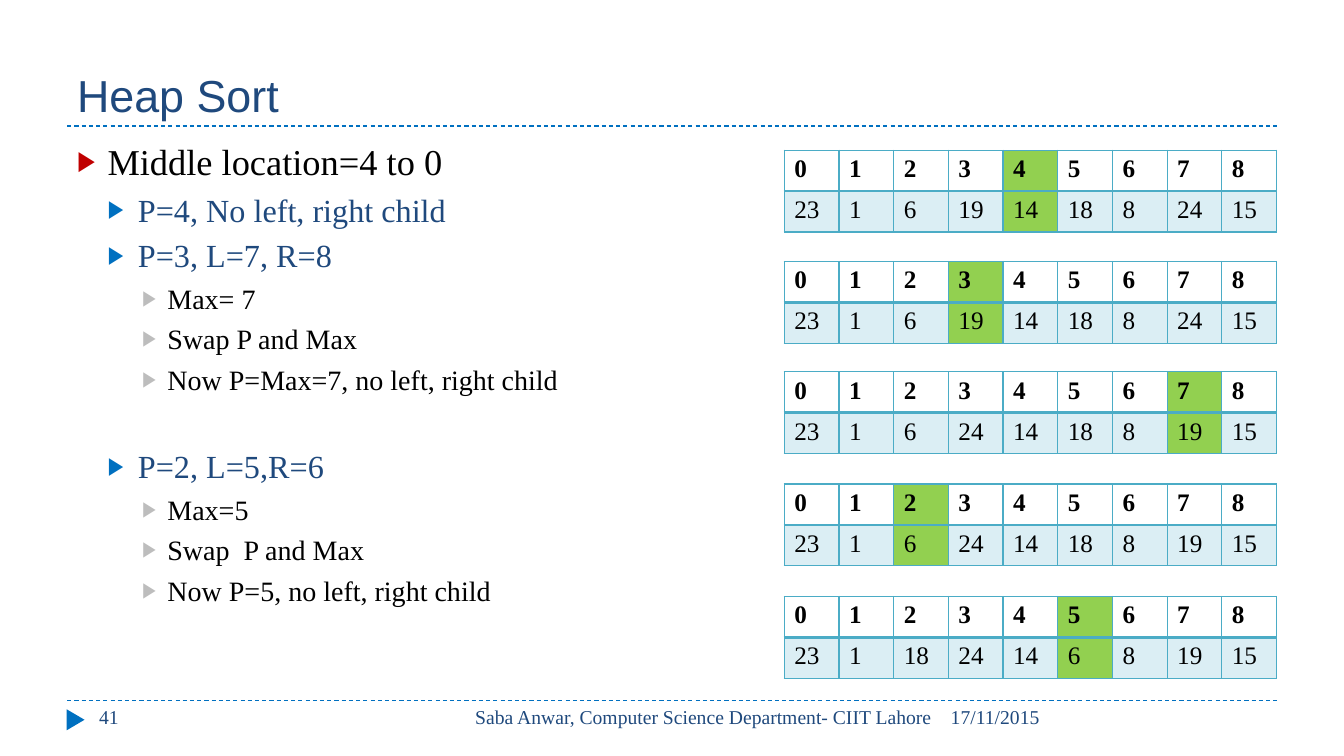
import dataclasses

import lxml.etree
import pptx
import pptx.dml.color
import pptx.enum.dml
import pptx.enum.shapes
import pptx.enum.text
import pptx.oxml.ns
import pptx.util

SCALE = 9525  # EMU in one px
HUES = {"navy": "1F497D", "blue": "0070C0", "red": "C00000", "grey": "BDBDBD",
        "black": "000000", "teal": "4BACC6", "pale": "DBEEF4", "green": "92D050"}
SERIF, SANS = "Times New Roman", "Arial"
ALIGN = pptx.enum.text.PP_ALIGN
ANCHOR = pptx.enum.text.MSO_ANCHOR


@dataclasses.dataclass
class Label:
    text: str
    box: tuple[int, int, int, int]
    size: int = 14
    face: str = SERIF
    align: ALIGN = ALIGN.LEFT
    anchor: ANCHOR = ANCHOR.TOP


@dataclasses.dataclass
class Level:
    size: int
    hue: str
    mark: str
    left: int
    hang: int


@dataclasses.dataclass
class Point:
    level: int
    text: str
    space: int = 5


@dataclasses.dataclass
class Heap:
    top: int
    vals: list[int]
    pick: int


LABELS = [
    Label("Heap Sort", (64, 16, 1152, 104), 32, SANS, anchor=ANCHOR.BOTTOM),
    Label("17/11/2015", (896, 667, 321, 38)),
    Label("Saba Anwar, Computer Science Department- CIIT Lahore",
          (406, 667, 491, 38), align=ALIGN.RIGHT),
    Label("41", (85, 667, 277, 38)),
]
LEVELS = [Level(26, "black", "red", 29, 29),
          Level(23, "navy", "blue", 58, 29),
          Level(20, "black", "grey", 86, 24)]
POINTS = [
    Point(0, "Middle location=4 to 0", 0),
    Point(1, "P=4, No left, right child"),
    Point(1, "P=3, L=7, R=8"),
    Point(2, "Max= 7"),
    Point(2, "Swap P and Max"),
    Point(2, "Now P=Max=7, no left, right child"),
    Point(1, "P=2, L=5,R=6", 36),
    Point(2, "Max=5"),
    Point(2, "Swap  P and Max"),
    Point(2, "Now P=5, no left, right child"),
]
HEAPS = [
    Heap(143, [23, 1, 6, 19, 14, 18, 8, 24, 15], 4),
    Heap(249, [23, 1, 6, 19, 14, 18, 8, 24, 15], 3),
    Heap(354, [23, 1, 6, 24, 14, 18, 8, 19, 15], 7),
    Heap(461, [23, 1, 6, 24, 14, 18, 8, 19, 15], 2),
    Heap(568, [23, 1, 18, 24, 14, 6, 8, 19, 15], 5),
]
LEFT, WIDE, HIGH = 747, 469, 39


def px(num: int) -> pptx.util.Emu:
    return pptx.util.Emu(num * SCALE)


def rgb(hue: str) -> pptx.dml.color.RGBColor:
    return pptx.dml.color.RGBColor.from_string(HUES[hue])


def add(root, tag: str, **attrs: str):
    return lxml.etree.SubElement(root, pptx.oxml.ns.qn(tag), attrs)


def write(para, text: str, size: int, hue: str,
          face: str = SERIF, bold: bool = False) -> None:
    run = para.add_run()
    run.text = text
    run.font.size = pptx.util.Pt(size)
    run.font.name = face
    run.font.bold = bold
    run.font.color.rgb = rgb(hue)


def frame(slide, box: tuple[int, int, int, int]):
    text = slide.shapes.add_textbox(*map(px, box)).text_frame
    text.word_wrap = True
    return text


def draw_label(slide, label: Label) -> None:
    text = frame(slide, label.box)
    text.vertical_anchor = label.anchor
    para = text.paragraphs[0]
    para.alignment = label.align
    write(para, label.text, label.size, "navy", label.face)


def draw_rule(slide, y: int) -> None:
    rule = slide.shapes.add_connector(
        pptx.enum.shapes.MSO_CONNECTOR.STRAIGHT, px(64), px(y), px(1216), px(y))
    rule.line.color.rgb = rgb("blue")
    rule.line.width = pptx.util.Pt(0.75)
    rule.line.dash_style = pptx.enum.dml.MSO_LINE.DASH
    add(rule._element.spPr, "a:effectLst")


def draw_mark(slide) -> None:
    mark = slide.shapes.add_shape(
        pptx.enum.shapes.MSO_SHAPE.ISOSCELES_TRIANGLE, px(62), px(677), px(20), px(17))
    mark.rotation = 90
    mark.shadow.inherit = False
    mark.fill.solid()
    mark.fill.fore_color.rgb = rgb("blue")
    mark.line.fill.background()


def draw_points(slide) -> None:
    text = frame(slide, (64, 128, 1152, 518))
    for i, point in enumerate(POINTS):
        para = text.add_paragraph() if i else text.paragraphs[0]
        level = LEVELS[point.level]
        para.level = point.level
        props = para._p.get_or_add_pPr()
        props.set("marL", str(px(level.left)))
        props.set("indent", str(px(-level.hang)))
        add(add(props, "a:buClr"), "a:srgbClr", val=HUES[level.mark])
        add(props, "a:buSzPct", val="76000")
        add(props, "a:buFont", typeface=SANS)
        add(props, "a:buChar", char="▶")
        para.space_before = pptx.util.Pt(point.space)
        write(para, point.text, level.size, level.hue)


def edge(cell, base: int) -> None:
    props = cell._tc.get_or_add_tcPr()
    for side in ("L", "R", "T", "B"):
        width = base if side == "B" else 1
        line = add(props, f"a:ln{side}", w=str(pptx.util.Pt(width)))
        add(add(line, "a:solidFill"), "a:srgbClr", val=HUES["teal"])


def draw_heap(slide, heap: Heap) -> None:
    count = len(heap.vals)
    grid = slide.shapes.add_table(
        2, count, px(LEFT), px(heap.top), px(WIDE), px(2 * HIGH)).table
    grid.first_row = grid.horz_banding = False
    for r, vals in enumerate((range(count), heap.vals)):
        for c, val in enumerate(vals):
            cell = grid.cell(r, c)
            edge(cell, 1 if r else 2)
            if r or c == heap.pick:
                cell.fill.solid()
                cell.fill.fore_color.rgb = rgb("green" if c == heap.pick else "pale")
            else:
                cell.fill.background()
            write(cell.text_frame.paragraphs[0], str(val), 18, "black", bold=not r)


def main() -> None:
    deck = pptx.Presentation()
    deck.slide_width, deck.slide_height = px(1280), px(720)
    slide = deck.slides.add_slide(deck.slide_layouts[6])
    # Rules and page mark
    for y in (667, 120):
        draw_rule(slide, y)
    draw_mark(slide)
    # Title and footer
    for label in LABELS:
        draw_label(slide, label)
    # Steps and arrays
    draw_points(slide)
    for heap in HEAPS:
        draw_heap(slide, heap)
    deck.save("out.pptx")


if __name__ == "__main__":
    main()
